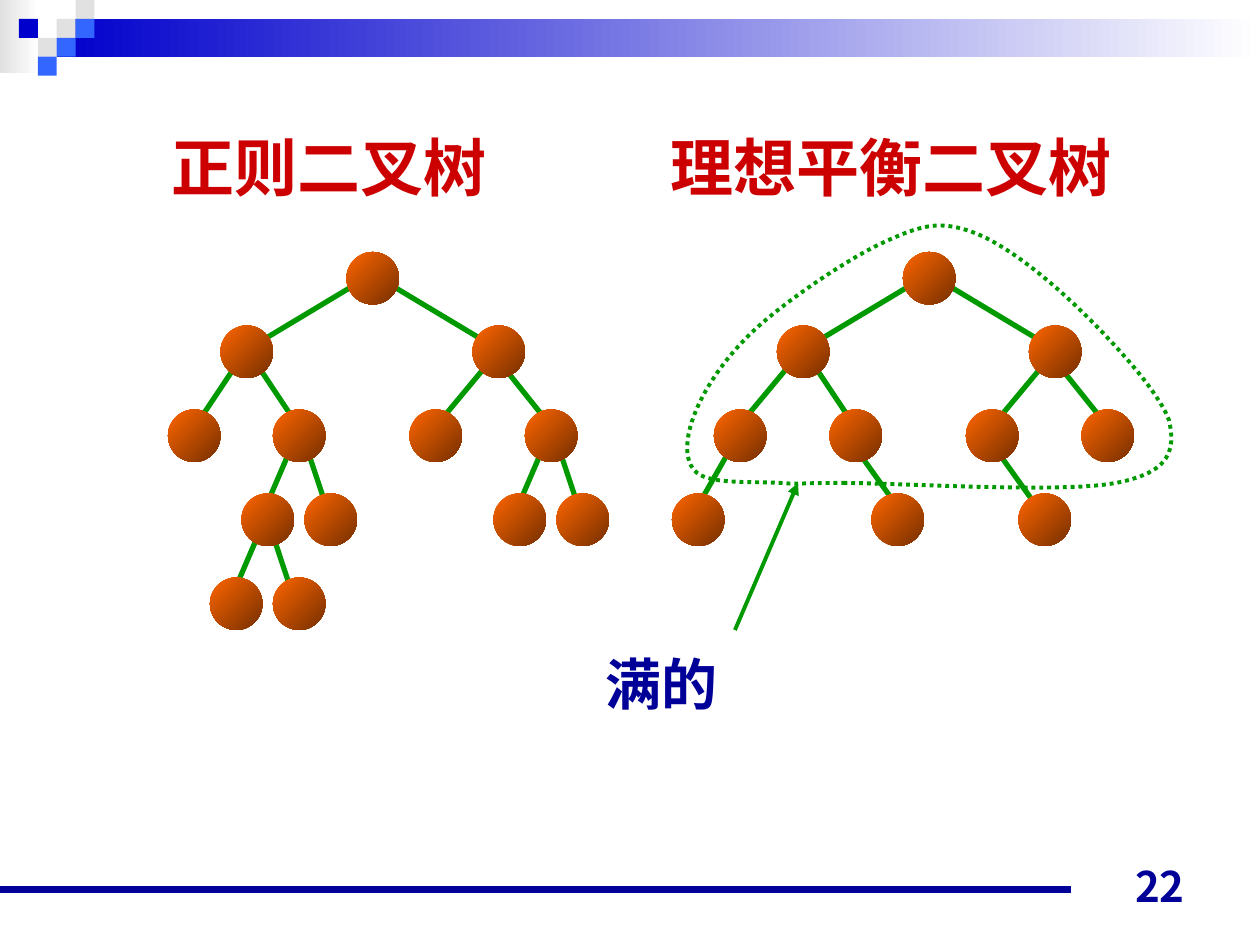
from lxml.etree import SubElement
from pptx import Presentation
from pptx.dml.color import RGBColor
from pptx.enum.dml import MSO_LINE
from pptx.enum.shapes import MSO_CONNECTOR, MSO_SHAPE
from pptx.enum.text import MSO_ANCHOR, MSO_AUTO_SIZE, PP_ALIGN
from pptx.oxml.ns import qn
from pptx.util import Pt

COLORS = {
    "heading": "CC0000", "navy": "000099", "green": "009900",
    "bright": "FF6600", "dark": "752F00", "deep": "0000CC",
    "blue": "3366FF", "grey": "E1E1E1", "white": "FFFFFF",
}
CJK_FONT = "Noto Sans CJK JP"
LATIN_FONT = "Times New Roman"
SQUARE = 10.8
NODE = 30
LEVEL_TOPS = [144, 186, 234, 282, 330]

HEADER_SQUARES = [
    (3, 1, "grey"), (4, 0, "grey"), (4, 1, "blue"), (2, 2, "grey"),
    (1, 1, "deep"), (3, 2, "blue"), (2, 3, "blue"),
]
REGULAR_LEVELS = [[198], [126, 270], [96, 156, 234, 300], [138, 174, 282, 318], [120, 156]]
REGULAR_EDGES = [
    (204, 162, 144, 198), (222, 162, 282, 198),
    (138, 204, 114, 240), (144, 204, 168, 240),
    (282, 204, 252, 240), (288, 210, 312, 240),
    (168, 252, 150, 294), (174, 252, 186, 288),
    (312, 252, 294, 294), (318, 252, 330, 288),
    (150, 300, 132, 342), (156, 306, 168, 342),
]
BALANCED_LEVELS = [[516], [444, 588], [408, 474, 552, 618], [384, 498, 582]]
BALANCED_EDGES = [
    (522, 162, 462, 198), (540, 162, 600, 198),
    (450, 210, 420, 246), (462, 204, 486, 240),
    (600, 204, 570, 240), (606, 210, 630, 240),
    (420, 252, 396, 294), (486, 252, 516, 294), (570, 258, 600, 300),
]
FULL_START = (482, 276)
FULL_CURVES = [
    [(514, 276), (607, 282), (638, 276)], [(669, 270), (672, 257), (668, 240)],
    [(662, 223), (633, 192), (614, 174)], [(595, 156), (572, 138), (554, 132)],
    [(536, 126), (526, 129), (506, 138)], [(486, 147), (452, 170), (434, 186)],
    [(416, 202), (404, 220), (398, 234)], [(392, 248), (390, 263), (398, 270)],
    [(406, 277), (431, 275), (446, 276)], [(461, 277), (450, 276), (482, 276)],
]


def color(name):
    return RGBColor.from_string(COLORS[name])


def bezier(points, t):
    while len(points) > 1:
        points = [
            (x1 + (x2 - x1) * t, y1 + (y2 - y1) * t)
            for (x1, y1), (x2, y2) in zip(points, points[1:])
        ]
    return points[0]


class SlideBuilder:
    def __init__(self, slide, steps=12):
        self.slide = slide
        self.shapes = slide.shapes
        self.steps = steps

    def shape(self, kind, left, top, width, height, start, end=None, angle=0):
        shape = self.shapes.add_shape(kind, Pt(left), Pt(top), Pt(width), Pt(height))
        shape.shadow.inherit = False
        shape.line.fill.background()
        if end:
            shape.fill.gradient()
            shape.fill.gradient_angle = angle
            for stop, name in zip(shape.fill.gradient_stops, (start, end)):
                stop.color.rgb = color(name)
        else:
            shape.fill.solid()
            shape.fill.fore_color.rgb = color(start)

    def line(self, x1, y1, x2, y2, name="green", width=3, arrow=False):
        line = self.shapes.add_connector(
            MSO_CONNECTOR.STRAIGHT, Pt(x1), Pt(y1), Pt(x2), Pt(y2))
        line.line.color.rgb = color(name)
        line.line.width = Pt(width)
        if arrow:
            outline = line._element.spPr.find(qn("a:ln"))
            SubElement(outline, qn("a:tailEnd"), type="triangle")
        SubElement(line._element.spPr, qn("a:effectLst"))

    def tree(self, levels, edges):
        for edge in edges:
            self.line(*edge)
        for top, lefts in zip(LEVEL_TOPS, levels):
            for left in lefts:
                self.shape(MSO_SHAPE.OVAL, left, top, NODE, NODE, "bright", "dark", 315)

    def dotted_outline(self, start, curves):
        points, last = [], start
        for curve in curves:
            points += [bezier([last, *curve], step / self.steps)
                       for step in range(1, self.steps + 1)]
            last = curve[-1]
        builder = self.shapes.build_freeform(Pt(start[0]), Pt(start[1]))
        builder.add_line_segments([(Pt(x), Pt(y)) for x, y in points], close=True)
        outline = builder.convert_to_shape()
        outline.shadow.inherit = False
        outline.fill.background()
        outline.line.color.rgb = color("green")
        outline.line.width = Pt(2.25)
        outline.line.dash_style = MSO_LINE.ROUND_DOT

    def fill_text(self, holder, text, size, name, font, align, anchor, wrap=True):
        frame = holder.text_frame
        frame.word_wrap = wrap
        frame.auto_size = MSO_AUTO_SIZE.NONE
        frame.vertical_anchor = anchor
        paragraph = frame.paragraphs[0]
        paragraph.alignment = align
        run = paragraph.add_run()
        run.text = text
        run.font.size = Pt(size)
        run.font.bold = True
        run.font.color.rgb = color(name)
        run.font.name = font
        SubElement(run._r.get_or_add_rPr(), qn("a:ea"), typeface=CJK_FONT)
        return paragraph

    def title(self, text, left, top, width, height, tab):
        heading = self.shapes.title
        heading.left, heading.top = Pt(left), Pt(top)
        heading.width, heading.height = Pt(width), Pt(height)
        paragraph = self.fill_text(
            heading, text, 36, "heading", CJK_FONT, PP_ALIGN.LEFT, MSO_ANCHOR.TOP)
        paragraph.line_spacing = 1.15
        paragraph.space_before = Pt(0)
        tabs = SubElement(paragraph._p.get_or_add_pPr(), qn("a:tabLst"))
        SubElement(tabs, qn("a:tab"), pos=str(Pt(tab)), algn="l")

    def text(self, text, left, top, width, height, *style, **options):
        box = self.shapes.add_textbox(Pt(left), Pt(top), Pt(width), Pt(height))
        self.fill_text(box, text, *style, **options)


def main():
    deck = Presentation()
    deck.slide_width, deck.slide_height = Pt(720), Pt(540)
    page = SlideBuilder(deck.slides.add_slide(deck.slide_layouts[5]))

    page.shape(MSO_SHAPE.RECTANGLE, 0, 0, 22.3, 41.8, "grey", "white")
    page.shape(MSO_SHAPE.RECTANGLE, 32.4, SQUARE, 687.6, 2 * SQUARE, "deep", "white")
    for column, row, name in HEADER_SQUARES:
        page.shape(MSO_SHAPE.RECTANGLE, column * SQUARE, row * SQUARE, SQUARE, SQUARE, name)
    page.line(0, 508.3, 612, 508.3, "navy", 4.5)

    page.title("正则二叉树\t理想平衡二叉树", 90.7, 63.4, 582, 57, 285.5)
    page.tree(REGULAR_LEVELS, REGULAR_EDGES)
    page.tree(BALANCED_LEVELS, BALANCED_EDGES)
    page.dotted_outline(FULL_START, FULL_CURVES)
    page.line(420, 360, 456, 276, width=2.25, arrow=True)
    page.text("满的", 339, 367.2, 78.5, 46, 32, "navy", LATIN_FONT,
              PP_ALIGN.CENTER, MSO_ANCHOR.MIDDLE, wrap=False)
    page.text("22", 516, 488.2, 168, 36, 24, "navy", CJK_FONT,
              PP_ALIGN.RIGHT, MSO_ANCHOR.BOTTOM)

    deck.save("out.pptx")


if __name__ == "__main__":
    main()
